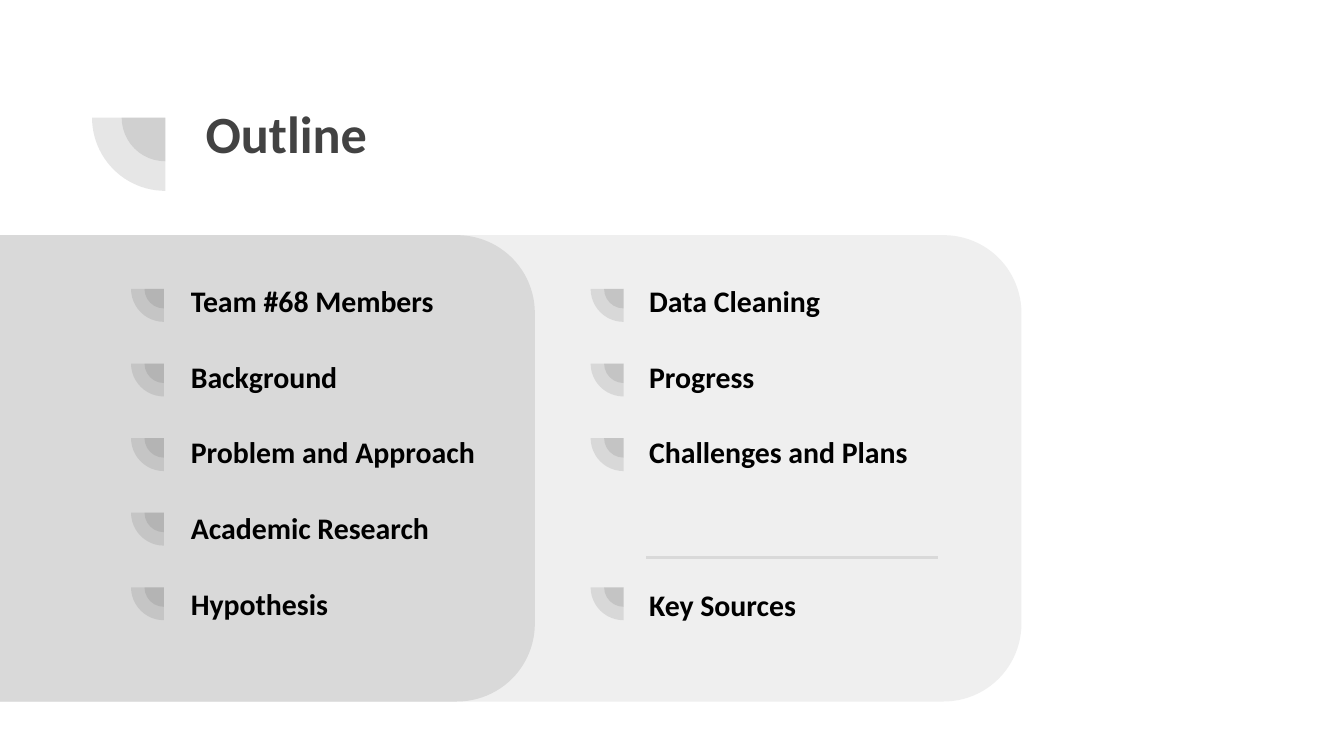
import pptx
import pptx.util
import pptx.dml.color
import pptx.enum.shapes
import pptx.enum.text
import pptx.oxml.ns
import lxml.etree

Inches = pptx.util.Inches
Pt = pptx.util.Pt
SHAPES = pptx.enum.shapes.MSO_SHAPE

COLOURS = {"ink": "424242", "text": "000000", "dark": "D9D9D9", "light": "EFEFEF"}
FONT = "Calibri"
FIRST_ROW = 2.15
ROW_PITCH = 0.555
LINE_HEIGHT = 19.5
ITEM_PITCH = 41

# Each column: text left, mark centre, and items keyed by row.
COLUMNS = [
    (0.82, 1.22, {0: "Team #68 Members", 1: "Background", 2: "Problem and Approach",
                  3: "Academic Research", 4: "Hypothesis"}),
    (4.23, 4.64, {0: "Data Cleaning", 1: "Progress", 2: "Challenges and Plans",
                  4: "Key Sources"}),
]


def colour(name):
    """Return the named colour as an RGB value."""
    return pptx.dml.color.RGBColor.from_string(COLOURS[name])


def add_child(parent, tag, **attributes):
    """Append a drawing element to an XML parent."""
    child = lxml.etree.SubElement(parent, pptx.oxml.ns.qn(tag))
    for key, value in attributes.items():
        child.set(key, value)
    return child


def style_shape(shape, fill):
    """Give a shape a flat fill with no line or shadow."""
    shape.shadow.inherit = False
    shape.fill.solid()
    shape.fill.fore_color.rgb = colour(fill)
    shape.line.fill.background()


def send_to_back(page, shape):
    """Move a shape behind everything else on the page."""
    page.shapes._spTree.insert(2, shape._element)


def add_panel(page, width, fill):
    """Add a rounded panel that runs in from the left edge."""
    panel = page.shapes.add_shape(SHAPES.ROUNDED_RECTANGLE, Inches(-0.75), Inches(1.75),
                                  Inches(width), Inches(3.47))
    panel.adjustments[0] = 0.167
    style_shape(panel, fill)
    return panel


def add_mark(page, centre_x, centre_y, diameters):
    """Add a group of translucent quarter circles sharing one centre."""
    mark = page.shapes.add_group_shape()
    for diameter in diameters:
        quarter = mark.shapes.add_shape(
            SHAPES.PIE, Inches(centre_x - diameter / 2), Inches(centre_y - diameter / 2),
            Inches(diameter), Inches(diameter))
        quarter.rotation = 270
        quarter.adjustments[0], quarter.adjustments[1] = 108, 162
        style_shape(quarter, "ink")
        tint = quarter._element.spPr.find(".//" + pptx.oxml.ns.qn("a:srgbClr"))
        add_child(tint, "a:alpha", val="13000")


def place_text(holder, left, top, width, height):
    """Move a placeholder and set its frame."""
    holder.left, holder.top = Inches(left), Inches(top)
    holder.width, holder.height = Inches(width), Inches(height)
    frame = holder.text_frame
    frame.word_wrap = True
    frame.auto_size = pptx.enum.text.MSO_AUTO_SIZE.NONE
    frame.vertical_anchor = pptx.enum.text.MSO_ANCHOR.TOP
    frame.margin_left = frame.margin_right = Inches(0.1)
    frame.margin_top = frame.margin_bottom = Inches(0.1)
    return frame


def style_paragraph(para, size, ink):
    """Set bold left-aligned text on a paragraph."""
    para.alignment = pptx.enum.text.PP_ALIGN.LEFT
    para.line_spacing = 1.0
    para.font.name = FONT
    para.font.size = Pt(size)
    para.font.bold = True
    para.font.color.rgb = colour(ink)


def fill_title(holder):
    """Write the slide title."""
    frame = place_text(holder, 1.43, 0.65, 7.69, 1.09)
    frame.text = "Outline"
    style_paragraph(frame.paragraphs[0], 28, "ink")


def fill_list(holder, left, items):
    """Write a column of items, spaced by their row numbers."""
    frame = place_text(holder, left, 2, 4.48, 2.78)
    frame.text = "\n".join(items.values())
    previous = None
    for para, row in zip(frame.paragraphs, items):
        gap = 0 if previous is None else (row - previous) * ITEM_PITCH - LINE_HEIGHT
        previous = row
        properties = para._p.get_or_add_pPr()
        properties.set("marL", str(Inches(0.5)))
        properties.set("indent", "0")
        add_child(properties, "a:buNone")
        para.space_before = Pt(gap)
        style_paragraph(para, 16, "text")


def add_divider(page):
    """Add the line above the last item of the right column."""
    divider = page.shapes.add_connector(pptx.enum.shapes.MSO_CONNECTOR.STRAIGHT,
                                        Inches(4.81), Inches(4.15), Inches(6.98), Inches(4.15))
    divider.line.color.rgb = colour("dark")
    divider.line.width = Pt(1.5)
    add_child(divider._element.spPr, "a:effectLst")


def main():
    """Build the outline slide and save it."""
    deck = pptx.Presentation()
    deck.slide_width = Inches(10)
    deck.slide_height = deck.slide_width * 9 // 16
    page = deck.slides.add_slide(deck.slide_layouts.get_by_name("Two Content"))
    for width, fill in ((4.73, "dark"), (8.35, "light")):
        send_to_back(page, add_panel(page, width, fill))
    fill_title(page.shapes.title)
    add_mark(page, 1.23, 0.875, (0.65, 1.09))
    bodies = list(page.placeholders)[1:]
    for body, (left, centre_x, items) in zip(bodies, COLUMNS):
        fill_list(body, left, items)
        for row in items:
            add_mark(page, centre_x, FIRST_ROW + row * ROW_PITCH, (0.29, 0.49))
    add_divider(page)
    deck.save("out.pptx")


main()
